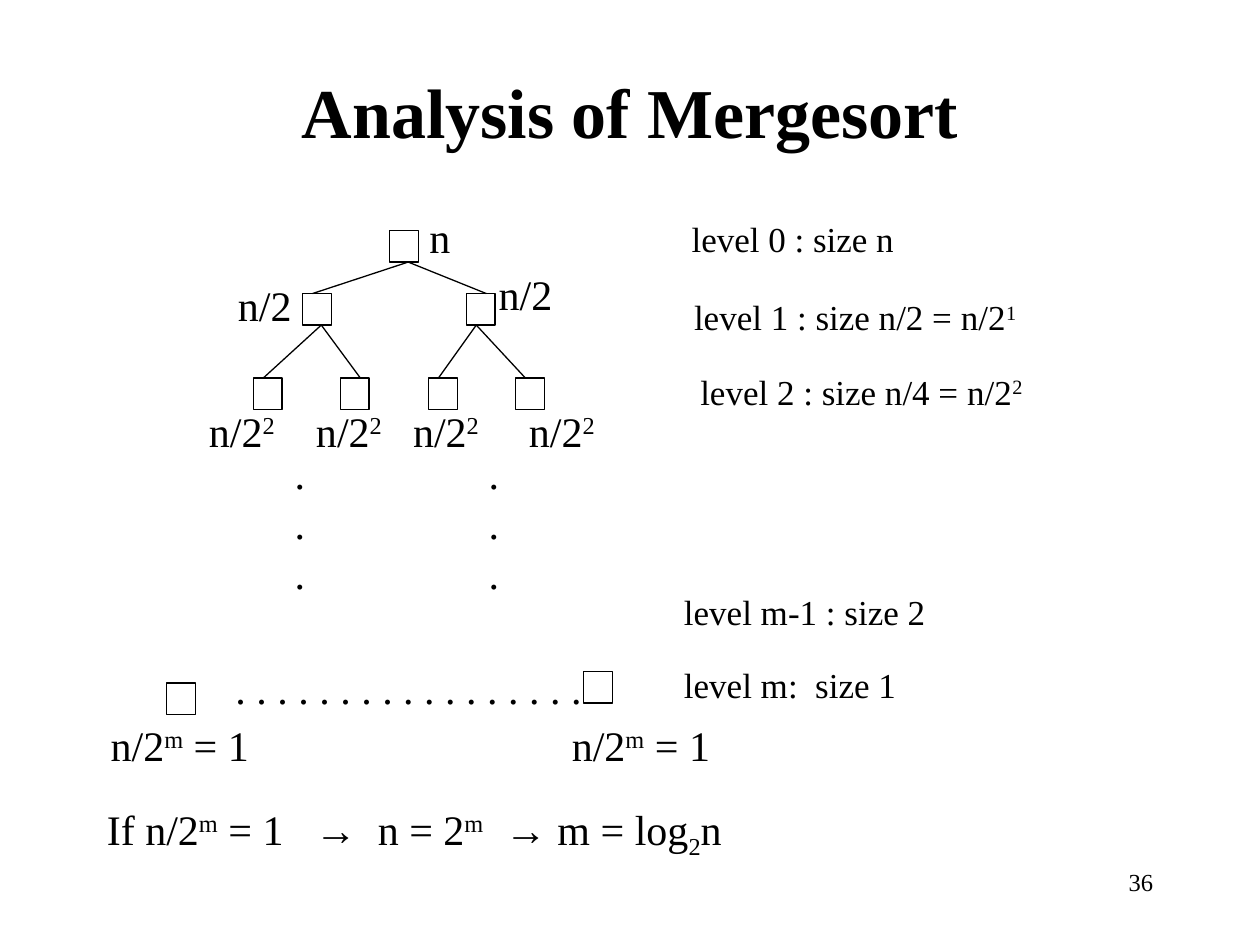
from dataclasses import dataclass
from typing import NamedTuple

from lxml.etree import SubElement
from pptx import Presentation
from pptx.dml.color import RGBColor
from pptx.enum.shapes import MSO_CONNECTOR, MSO_SHAPE
from pptx.enum.text import MSO_ANCHOR, MSO_AUTO_SIZE, PP_ALIGN
from pptx.oxml.ns import qn
from pptx.util import Inches, Pt


@dataclass(frozen=True)
class Theme:
    """Colours, fonts and sizes of the slide."""
    ink: RGBColor = RGBColor(0, 0, 0)
    paper: RGBColor = RGBColor(255, 255, 255)
    font: str = "Times New Roman"
    arrow_font: str = "Arial"
    title: int = 40
    body: int = 24
    level: int = 20
    number: int = 14
    line: float = 0.74
    leading: float = 1.2


class Piece(NamedTuple):
    """A stretch of text with its baseline shift in percent."""
    text: str
    baseline: int = 0
    font: str = ""


class Label(NamedTuple):
    """A text box; each line is a tuple of pieces."""
    left: float
    top: float
    width: float
    height: float
    lines: tuple
    size: int


class Node(NamedTuple):
    """A tree box with the offsets where edges enter and leave it."""
    left: float
    top: float
    entry: float = 0.08
    leave: float = 0.15


THEME = Theme()
NODE_WIDTH, NODE_HEIGHT = 0.23, 0.25

ROOT = Node(3.09, 1.83)
HALVES = (Node(2.4, 2.33), Node(3.7, 2.33, entry=0.16, leave=0.08))
QUARTERS = (Node(2.01, 3), Node(2.7, 3, entry=0.16), Node(3.4, 3), Node(4.09, 3))
LEAVES = (Node(1.32, 5.42), Node(4.63, 5.33))
EDGES = [(ROOT, half) for half in HALVES]
EDGES += [(HALVES[index // 2], quarter) for index, quarter in enumerate(QUARTERS)]

HALF = ((Piece("n/2"),),)
QUARTER = ((Piece("n/2"), Piece("2", 30)),)
LEAF = ((Piece("n/2"), Piece("m", 30), Piece(" = 1")),)
DOT_COLUMN = ((Piece("."),),) * 3
DOT_ROW = ((Piece(" ".join("." * 17)),),)
ARROW = Piece("\u2192", 0, THEME.arrow_font)
CONCLUSION = ((
    Piece("If n/2"), Piece("m", 30), Piece(" = 1\t"), ARROW,
    Piece("\tn = 2"), Piece("m", 30), Piece("\t"), ARROW,
    Piece(" m = log"), Piece("2", -25), Piece("n"),
),)
CONCLUSION_TABS = (1.65, 2.15, 3.16)

LABELS = [Label(left, 3.5, 0.32, 1.3, DOT_COLUMN, THEME.body) for left in (2.24, 3.78)]
LABELS += [Label(left, 3.17, 0.76, 0.5, QUARTER, THEME.body)
           for left in (1.56, 2.41, 3.18, 4.1)]
LABELS += [Label(left, 5.66, 1.36, 0.5, LEAF, THEME.body) for left in (0.78, 4.44)]
LABELS += [Label(left, top, 0.68, 0.5, HALF, THEME.body)
           for left, top in ((1.79, 2.17), (3.86, 2.08))]
LABELS += [
    Label(1.77, 5.21, 3.05, 0.5, DOT_ROW, THEME.body),
    Label(3.31, 1.63, 0.4, 0.5, ((Piece("n"),),), THEME.body),
    Label(5.39, 1.68, 1.95, 0.44, ((Piece("level 0 : size n "),),), THEME.level),
    Label(5.41, 2.3, 2.85, 0.44,
          ((Piece("level 1 : size n/2 = n/2"), Piece("1", 30)),), THEME.level),
    Label(5.46, 2.89, 2.9, 0.44,
          ((Piece("level 2 : size n/4 = n/2"), Piece("2 ", 30)),), THEME.level),
    Label(5.33, 4.64, 2.25, 0.44, ((Piece("level m-1 : size 2 "),),), THEME.level),
    Label(5.33, 5.22, 2.05, 0.77, ((Piece("level m:  size 1 "),),), THEME.level),
]


def add_run(paragraph, piece: Piece, size: int, bold: bool = False) -> None:
    """Append one formatted run to a paragraph."""
    run = paragraph.add_run()
    run.text = piece.text
    run.font.name = piece.font or THEME.font
    run.font.size = Pt(size)
    run.font.bold = bold
    run.font.color.rgb = THEME.ink
    if piece.baseline:
        run._r.get_or_add_rPr().set("baseline", str(piece.baseline * 1000))


def add_tabs(paragraph, positions: tuple) -> None:
    """Give a paragraph left tab stops at the given inches."""
    tab_list = SubElement(paragraph._p.get_or_add_pPr(), qn("a:tabLst"))
    for position in positions:
        SubElement(tab_list, qn("a:tab"), pos=str(Inches(position)), algn="l")


def add_label(slide, label: Label, align=PP_ALIGN.LEFT):
    """Draw a text box and return its text frame."""
    box = slide.shapes.add_textbox(*map(Inches, label[:4]))
    frame = box.text_frame
    frame.word_wrap = True
    frame.auto_size = MSO_AUTO_SIZE.NONE
    for index, pieces in enumerate(label.lines):
        paragraph = frame.add_paragraph() if index else frame.paragraphs[0]
        paragraph.alignment = align
        paragraph.line_spacing = Pt(label.size * THEME.leading)
        for piece in pieces:
            add_run(paragraph, piece, label.size)
    return frame


def add_node(slide, node: Node) -> None:
    """Draw one square of the recursion tree."""
    shape = slide.shapes.add_shape(
        MSO_SHAPE.RECTANGLE,
        *map(Inches, (node.left, node.top, NODE_WIDTH, NODE_HEIGHT)))
    shape.shadow.inherit = False
    shape.fill.solid()
    shape.fill.fore_color.rgb = THEME.paper
    shape.line.color.rgb = THEME.ink
    shape.line.width = Pt(THEME.line)


def add_edge(slide, parent: Node, child: Node) -> None:
    """Draw the line from a parent's bottom to a child's top."""
    ends = (parent.left + parent.leave, parent.top + NODE_HEIGHT,
            child.left + child.entry, child.top)
    edge = slide.shapes.add_connector(MSO_CONNECTOR.STRAIGHT, *map(Inches, ends))
    edge.line.color.rgb = THEME.ink
    edge.line.width = Pt(THEME.line)
    SubElement(edge._element.spPr, qn("a:effectLst"))


def add_title(slide, text: str) -> None:
    """Place and fill the title placeholder."""
    title = slide.shapes.title
    title.left, title.top, title.width, title.height = map(Inches, (0.75, 0.42, 8.5, 0.92))
    title.text_frame.vertical_anchor = MSO_ANCHOR.MIDDLE
    paragraph = title.text_frame.paragraphs[0]
    paragraph.alignment = PP_ALIGN.CENTER
    add_run(paragraph, Piece(text), THEME.title, bold=True)


def build() -> None:
    """Build and save the slide."""
    presentation = Presentation()
    presentation.slide_width, presentation.slide_height = Inches(10), Inches(7.5)
    slide = presentation.slides.add_slide(presentation.slide_layouts[5])
    add_title(slide, "Analysis of Mergesort")
    for node in (ROOT, *HALVES, *QUARTERS, *LEAVES):
        add_node(slide, node)
    for parent, child in EDGES:
        add_edge(slide, parent, child)
    for label in LABELS:
        add_label(slide, label)
    conclusion = add_label(
        slide, Label(0.75, 6.38, 8.5, 0.5, CONCLUSION, THEME.body))
    add_tabs(conclusion.paragraphs[0], CONCLUSION_TABS)
    add_label(slide, Label(7.17, 6.83, 2.08, 0.5, ((Piece("36"),),), THEME.number),
              align=PP_ALIGN.RIGHT)
    presentation.save("out.pptx")


build()
